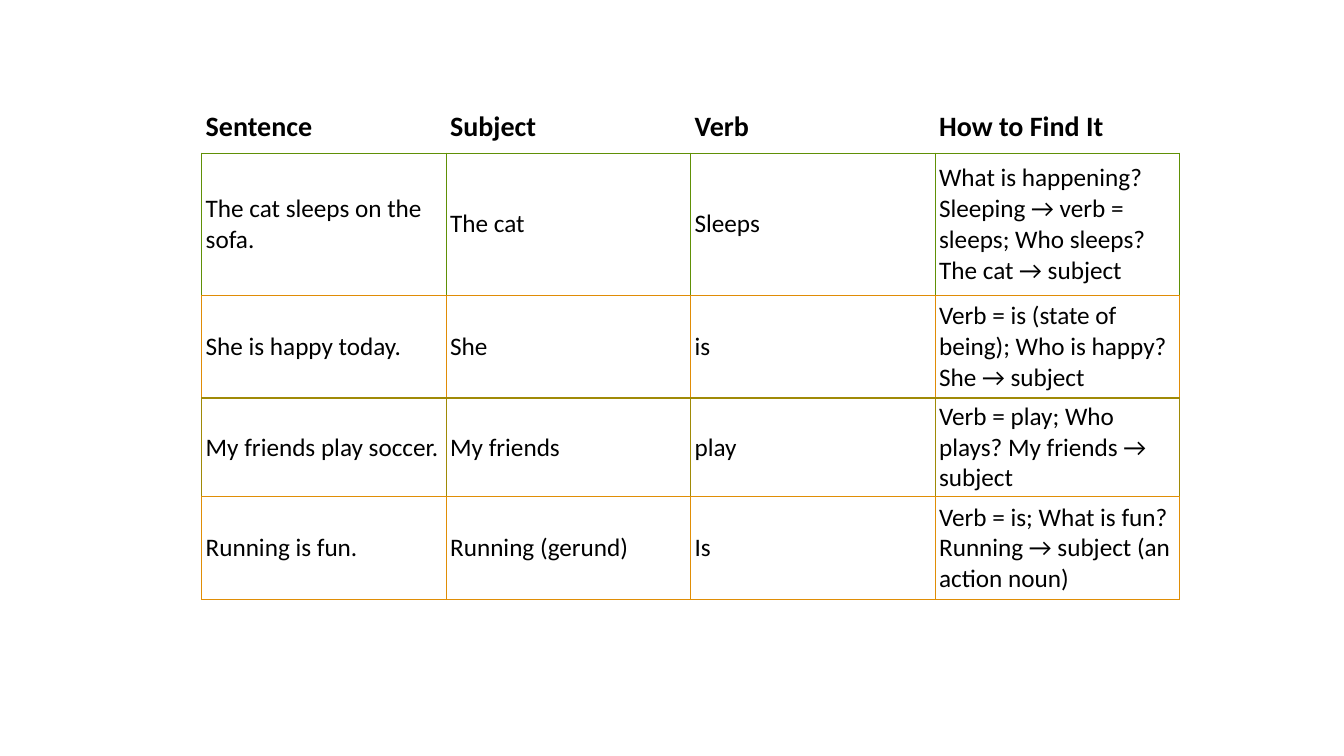
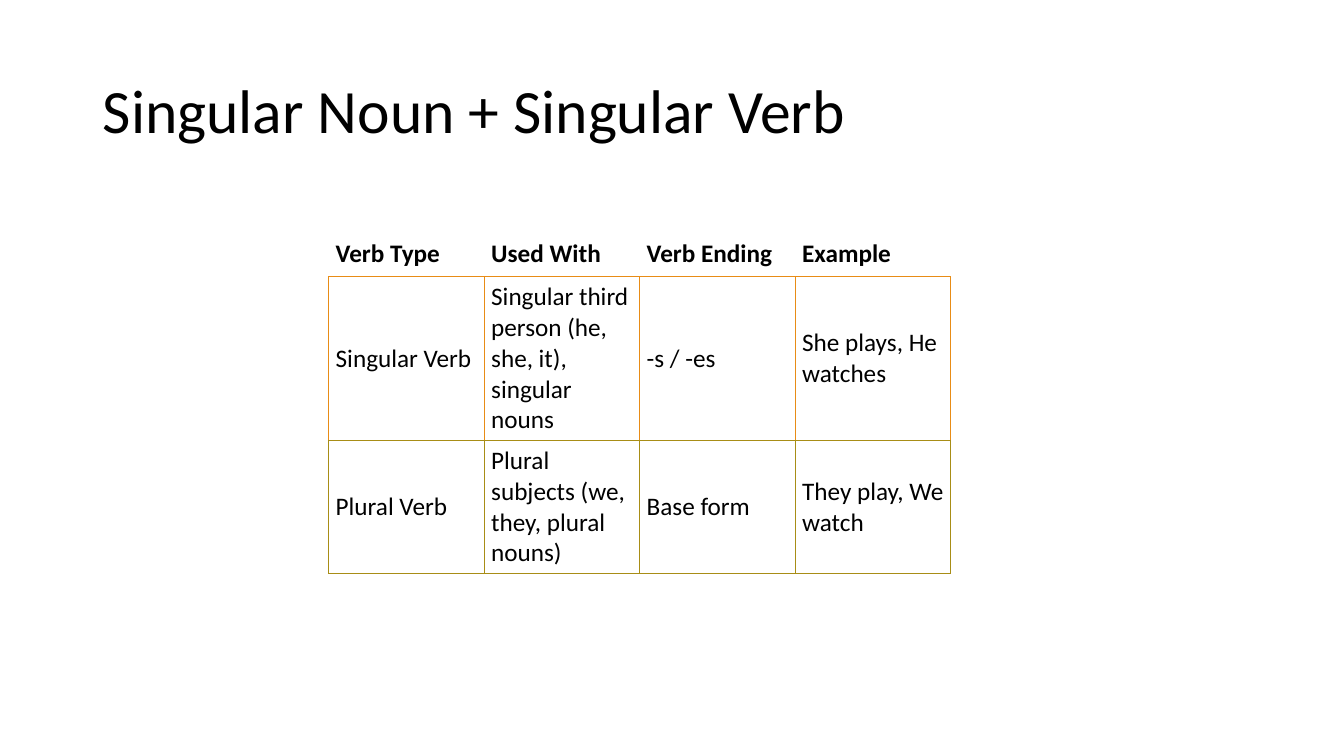
"""Build two grammar slides with outlined tables about subjects and verbs."""
from lxml import etree
from pptx import Presentation
from pptx.dml.color import RGBColor
from pptx.enum.text import MSO_ANCHOR, PP_ALIGN
from pptx.oxml.ns import qn
from pptx.util import Inches, Pt

MIDDLE = MSO_ANCHOR.MIDDLE
TOP = MSO_ANCHOR.TOP
LEFT = PP_ALIGN.LEFT
PLAIN_TABLE = "{2D5ABB26-0587-4C30-8999-92F81FD0307C}"
FONT = "Calibri"
COLORS = {
    "text": "000000",
    "green": "609006",
    "orange": "E08C06",
    "olive": "A08A06",
    "amber": "E08E06",
    "tangerine": "E88C16",
    "moss": "A88D16",
}

TABLES = [
    {
        "title": None,
        "place": (2, 1.05, 9.7),
        "heights": [0.47, 1.41, 1.02, 0.98, 1.02],
        "outlines": ["green", "orange", "olive", "amber"],
        "header_size": 20,
        "side_margin": 0.04,
        "header_margin": 0.04,
        "body_margin": 0.03,
        "rows": [
            ["Sentence", "Subject", "Verb", "How to Find It"],
            ["The cat sleeps on the sofa.", "The cat", "Sleeps",
             "What is happening? Sleeping → verb = sleeps; Who sleeps? The cat → subject"],
            ["She is happy today.", "She", "is",
             "Verb = is (state of being); Who is happy? She → subject"],
            ["My friends play soccer.", "My friends", "play",
             "Verb = play; Who plays? My friends → subject"],
            ["Running is fun.", "Running (gerund)", "Is",
             "Verb = is; What is fun? Running → subject (an action noun)"],
        ],
    },
    {
        "title": "Singular Noun + Singular Verb",
        "place": (3.26, 2.3, 6.17),
        "heights": [0.44, 1.62, 1.32],
        "outlines": ["tangerine", "moss"],
        "header_size": 18,
        "side_margin": 0.07,
        "header_margin": 0.07,
        "body_margin": 0.05,
        "rows": [
            ["Verb Type", "Used With", "Verb Ending", "Example"],
            ["Singular Verb", "Singular third person (he, she, it), singular nouns",
             "-s / -es", "She plays, He watches"],
            ["Plural Verb", "Plural subjects (we, they, plural nouns)",
             "Base form", "They play, We watch"],
        ],
    },
]


def format_text(para, size, bold=False):
    para.alignment = LEFT
    for name, value in {"name": FONT, "size": Pt(size), "bold": bold}.items():
        setattr(para.font, name, value)
    para.font.color.rgb = RGBColor.from_string(COLORS["text"])


def draw_border(cell, side, color):
    properties = cell._tc.get_or_add_tcPr()
    line = etree.SubElement(properties, qn(f"a:ln{side}"), w=str(Pt(1)))
    fill = etree.SubElement(line, qn("a:solidFill"))
    etree.SubElement(fill, qn("a:srgbClr"), val=COLORS[color])


deck = Presentation()
deck.slide_width = Inches(13.33)
deck.slide_height = Inches(7.5)
blank_layout = deck.slide_layouts[6]
title_layout = deck.slide_layouts[5]

for content in TABLES:
    page = deck.slides.add_slide(title_layout if content["title"] else blank_layout)
    if content["title"]:
        title = page.shapes.title
        title_place = {"left": 0.92, "top": 0.4, "width": 11.5, "height": 1.45}
        for name, value in title_place.items():
            setattr(title, name, Inches(value))
        title.text_frame.text = content["title"]
        title.text_frame.vertical_anchor = MIDDLE
        title.text_frame.paragraphs[0].line_spacing = 0.9
        format_text(title.text_frame.paragraphs[0], 44)

    rows, heights, outlines = content["rows"], content["heights"], content["outlines"]
    left, top, width = content["place"]
    frame = page.shapes.add_table(
        len(rows), len(rows[0]), Inches(left), Inches(top), Inches(width), Inches(sum(heights)))
    table = frame.table
    table.first_row = False
    table.horz_banding = False
    table._tbl.tblPr.find(qn("a:tableStyleId")).text = PLAIN_TABLE
    for column in table.columns:
        column.width = Inches(width / len(rows[0]))

    for row_index, texts in enumerate(rows):
        table.rows[row_index].height = Inches(heights[row_index])
        is_header = row_index == 0
        below = outlines[min(row_index, len(outlines) - 1)]
        end_margin = content["header_margin" if is_header else "body_margin"]
        cell_format = {
            "vertical_anchor": TOP if is_header else MIDDLE,
            "margin_left": Inches(content["side_margin"]),
            "margin_right": Inches(content["side_margin"]),
            "margin_top": Inches(end_margin),
            "margin_bottom": Inches(end_margin),
        }
        for column_index, text in enumerate(texts):
            cell = table.cell(row_index, column_index)
            cell.text = text
            for name, value in cell_format.items():
                setattr(cell, name, value)
            format_text(cell.text_frame.paragraphs[0],
                        content["header_size"] if is_header else 18, is_header)
            if not is_header:
                for side in "LRT":
                    draw_border(cell, side, outlines[row_index - 1])
            draw_border(cell, "B", below)
            cell.fill.background()

deck.save("out.pptx")
